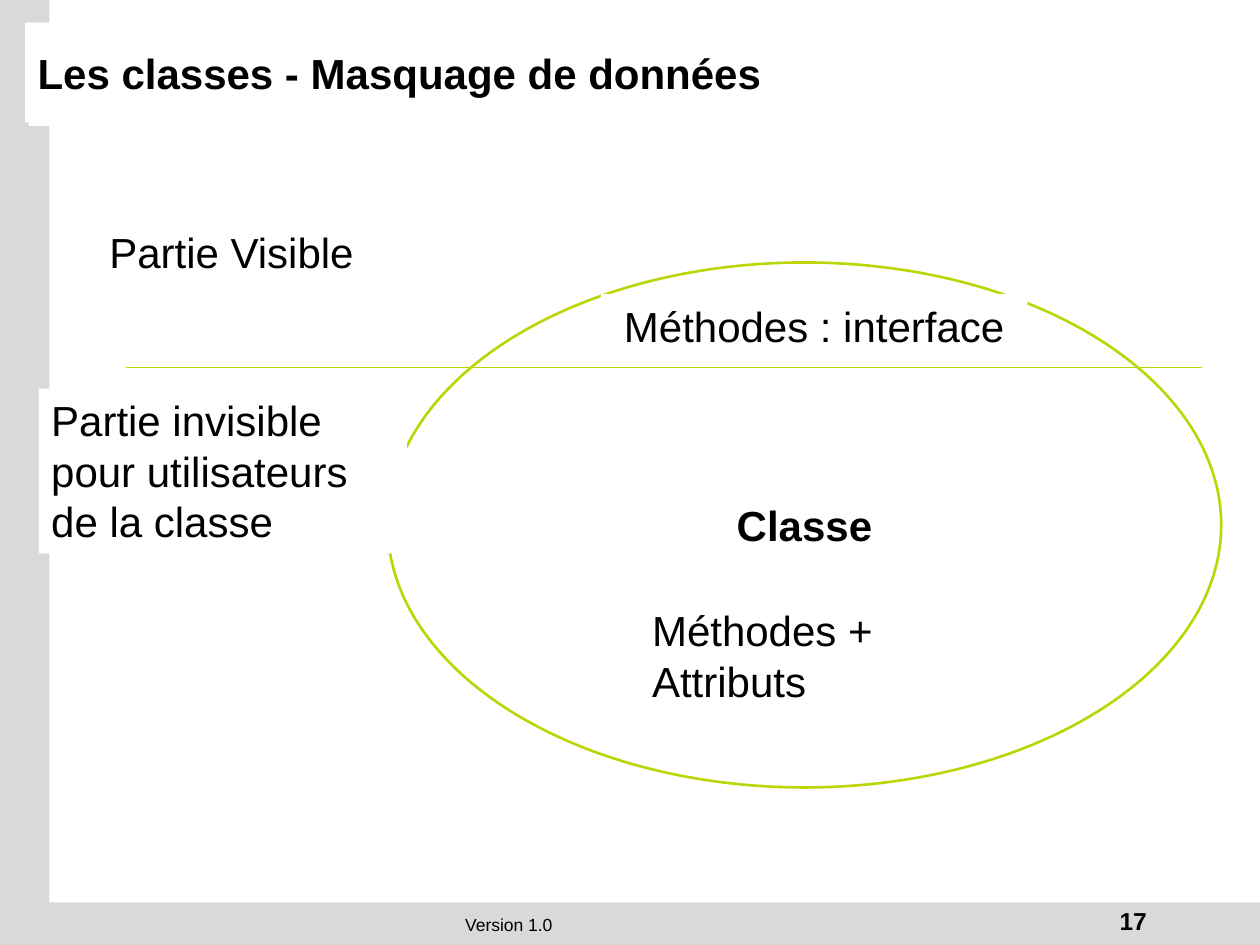
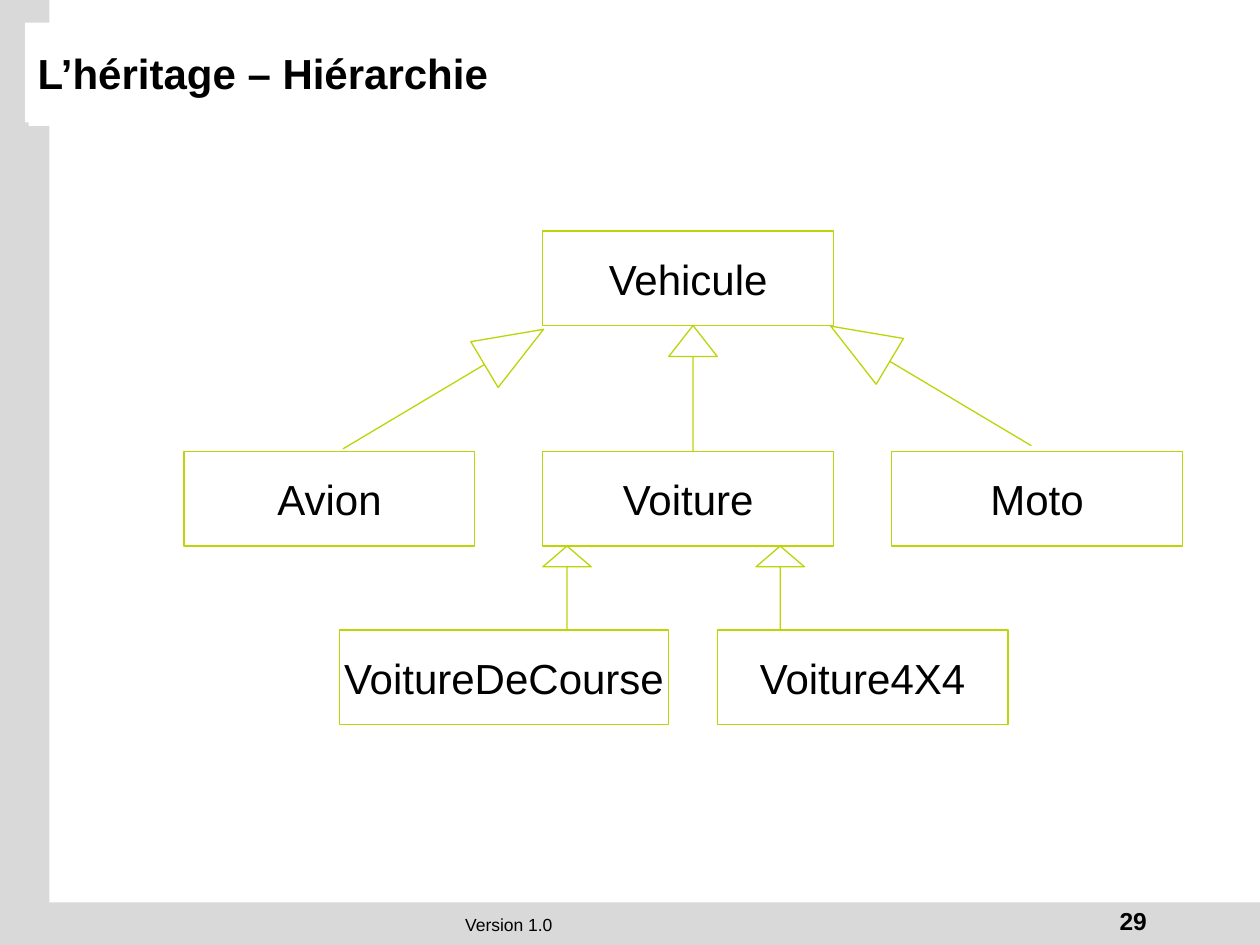
"""Build two course slides on classes and inheritance."""
from dataclasses import dataclass

from lxml import etree
from pptx import Presentation
from pptx.dml.color import RGBColor
from pptx.enum.shapes import MSO_CONNECTOR, MSO_SHAPE
from pptx.enum.text import MSO_ANCHOR, PP_ALIGN
from pptx.oxml.ns import qn
from pptx.util import Inches, Pt

RECTANGLE, ELLIPSE, UP_ARROW = MSO_SHAPE.RECTANGLE, MSO_SHAPE.OVAL, MSO_SHAPE.UP_ARROW
STRAIGHT = MSO_CONNECTOR.STRAIGHT
LEFT, CENTER, RIGHT = PP_ALIGN.LEFT, PP_ALIGN.CENTER, PP_ALIGN.RIGHT
TOP, MIDDLE = MSO_ANCHOR.TOP, MSO_ANCHOR.MIDDLE


@dataclass(frozen=True)
class Theme:
    """Colours, type and line sizes shared by the slides."""
    font: str = "Arial"
    text: str = "000000"
    paper: str = "FFFFFF"
    band: str = "D9D9D9"
    accent: str = "BCD507"
    body_size: int = 24
    number_size: int = 14
    footer_size: int = 10
    thin: float = 0.75
    thick: float = 1.5


THEME = Theme()
WIDTH, HEIGHT = Inches(10), Inches(7.5)
COLUMNS, ROWS = 130, 90
BOX_WIDTH, BOX_HEIGHT = 30, 9
TOP_ROW, MIDDLE_ROW, BOTTOM_ROW = 22, 43, 60


def across(columns):
    """Convert grid columns to a length."""
    return round(WIDTH * columns / COLUMNS)


def down(rows):
    """Convert grid rows to a length."""
    return round(HEIGHT * rows / ROWS)


def place(left, top, width, height):
    """Convert a grid rectangle to lengths."""
    return across(left), down(top), across(width), down(height)


def write(shape, text, size=THEME.body_size, bold=False, align=LEFT, anchor=TOP, wrap=True):
    """Write one paragraph into a shape."""
    frame = shape.text_frame
    frame.word_wrap = wrap
    frame.vertical_anchor = anchor
    paragraph = frame.paragraphs[0]
    paragraph.alignment = align
    run = paragraph.add_run()
    run.text = text
    run.font.name = THEME.font
    run.font.size = Pt(size)
    run.font.bold = bold
    run.font.color.rgb = RGBColor.from_string(THEME.text)


def add_form(slide, kind, area, fill=THEME.paper, line_width=None):
    """Add a filled preset shape, outlined in the accent colour if asked."""
    shape = slide.shapes.add_shape(kind, *place(*area))
    shape.shadow.inherit = False
    shape.fill.solid()
    shape.fill.fore_color.rgb = RGBColor.from_string(fill)
    if line_width is None:
        shape.line.fill.background()
    else:
        shape.line.color.rgb = RGBColor.from_string(THEME.accent)
        shape.line.width = Pt(line_width)
    return shape


def add_text(slide, area, text, **style):
    """Add a text box without fill."""
    write(slide.shapes.add_textbox(*place(*area)), text, **style)


def add_label(slide, area, text, align=LEFT):
    """Add body text on a white ground."""
    write(add_form(slide, RECTANGLE, area), text, align=align)


def add_title(slide, text):
    """Add the title on a white ground with a white offset shadow."""
    title = add_form(slide, RECTANGLE, (2.6, 2.15, 110.8, 9.5))
    effects = title._element.spPr.find(qn("a:effectLst"))
    shadow = etree.SubElement(effects, qn("a:outerShdw"), dist=str(Pt(2.8)), dir="2700000")
    etree.SubElement(shadow, qn("a:srgbClr"), val=THEME.paper)
    write(title, text, bold=True, anchor=MIDDLE)


def add_divider(slide, left, right, row):
    """Add a thin horizontal line."""
    line = slide.shapes.add_connector(
        STRAIGHT, across(left), down(row), across(right), down(row))
    line.line.color.rgb = RGBColor.from_string(THEME.accent)
    line.line.width = Pt(THEME.thin)
    etree.SubElement(line._element.spPr, qn("a:effectLst"))


def add_class_box(slide, left, top, name, width=BOX_WIDTH):
    """Add an outlined box that names a class."""
    box = add_form(slide, RECTANGLE, (left, top, width, BOX_HEIGHT), line_width=THEME.thin)
    write(box, name, align=CENTER, anchor=MIDDLE, wrap=False)


def add_inheritance_arrow(slide, area, head, rotation=0):
    """Add an arrow with a hollow head and a shaft of no width."""
    arrow = add_form(slide, UP_ARROW, area, line_width=THEME.thin)
    arrow.adjustments[0] = 0
    arrow.adjustments[1] = head
    arrow.rotation = rotation


def add_slide(presentation, title, number):
    """Add a slide with its bands, footer and title."""
    slide = presentation.slides.add_slide(presentation.slide_layouts[6])
    for area in ((0, 0, 5.1, ROWS), (0, 85.95, COLUMNS, 4.05)):
        add_form(slide, RECTANGLE, area, fill=THEME.band)
    add_text(slide, (1.4, 86.5, 102.2, 3.2), "Version 1.0",
             size=THEME.footer_size, align=CENTER)
    add_text(slide, (99, 85.7, 20.6, 4), number,
             size=THEME.number_size, bold=True, align=RIGHT)
    add_title(slide, title)
    return slide


def build_data_hiding(presentation):
    """Show the visible and hidden parts of a class."""
    slide = add_slide(presentation, "Les classes - Masquage de données", "17")
    ellipse = add_form(slide, ELLIPSE, (40, 25, 86, 50), line_width=THEME.thick)
    write(ellipse, "Classe", bold=True, align=CENTER, anchor=MIDDLE, wrap=False)
    add_divider(slide, 13, 124, 35)
    add_label(slide, (10, 21, 29, 6), "Partie Visible")
    add_label(slide, (4, 37, 38, 15.7), "Partie invisible pour utilisateurs de la classe")
    add_label(slide, (62, 28, 44, 6), "Méthodes : interface", align=CENTER)
    add_label(slide, (66, 57, 42, 10.9), "Méthodes + Attributs")


def build_hierarchy(presentation):
    """Show the class tree of vehicles."""
    slide = add_slide(presentation, "L’héritage – Hiérarchie", "29")
    add_class_box(slide, 56, TOP_ROW, "Vehicule")
    for left, name in ((19, "Avion"), (92, "Moto"), (56, "Voiture")):
        add_class_box(slide, left, MIDDLE_ROW, name)
    add_class_box(slide, 35, BOTTOM_ROW, "VoitureDeCourse", width=34)
    add_class_box(slide, 74, BOTTOM_ROW, "Voiture4X4")

    under_top = TOP_ROW + BOX_HEIGHT
    under_middle = MIDDLE_ROW + BOX_HEIGHT
    add_inheritance_arrow(slide, (69, under_top, 5, MIDDLE_ROW - under_top), 0.64)
    for left, top, rotation in ((43, 25.95, 59.2), (93.3, 25.65, 300.8)):
        add_inheritance_arrow(slide, (left, top, 5.5, 22.2), 1.29, rotation)
    for left in (56, 78):
        add_inheritance_arrow(slide, (left, under_middle, 5, BOTTOM_ROW - under_middle), 0.43)


def main():
    """Build and save the presentation."""
    presentation = Presentation()
    presentation.slide_width, presentation.slide_height = WIDTH, HEIGHT
    build_data_hiding(presentation)
    build_hierarchy(presentation)
    presentation.save("out.pptx")


if __name__ == "__main__":
    main()
